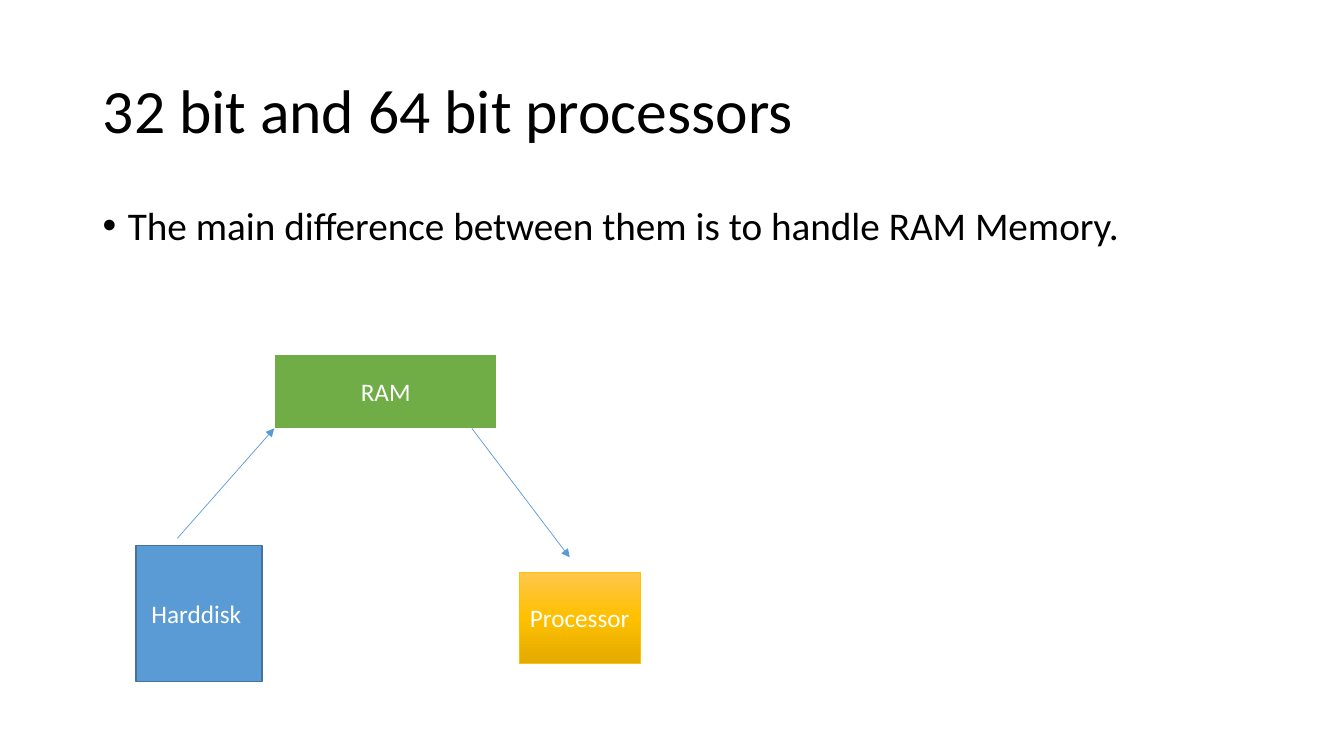
from dataclasses import dataclass

from lxml.etree import SubElement
from pptx import Presentation
from pptx.dml.color import RGBColor
from pptx.enum.shapes import MSO_CONNECTOR as Connector, MSO_SHAPE as Shape
from pptx.enum.text import MSO_ANCHOR as Anchor, MSO_AUTO_SIZE as AutoSize, PP_ALIGN as Align
from pptx.oxml.ns import qn
from pptx.util import Pt

PX = 9144  # EMU per px, 100 px to the inch


@dataclass(frozen=True)
class Theme:
    font: str = "Calibri"
    title_size: int = 44
    body_size: int = 28
    label_size: int = 18
    ink: str = "000000"
    paper: str = "FFFFFF"
    blue: str = "5B9BD5"
    blue_edge: str = "43739E"
    green: str = "70AD47"
    gold: str = "FFC000"
    gold_light: str = "FFC64B"
    gold_dark: str = "E3AB00"


THEME = Theme()


@dataclass(frozen=True)
class Part:
    label: str
    box: tuple[int, int, int, int]
    fills: tuple[str, ...]  # one colour, or evenly spaced stops from top to bottom
    edge: str
    edge_width: float
    preset: Shape = Shape.RECTANGLE


@dataclass(frozen=True)
class Arrow:
    start: tuple[int, int]
    end: tuple[int, int]


PARTS = (
    Part("Harddisk ", (135, 541, 125, 135), (THEME.blue,), THEME.blue_edge, 1,
         Shape.FLOWCHART_PROCESS),
    Part("RAM", (272, 351, 221, 75), (THEME.green,), THEME.paper, 1.5),
    Part("Processor", (515, 568, 120, 90),
         (THEME.gold_light, THEME.gold, THEME.gold_dark), THEME.gold, 0.5),
)
ARROWS = (Arrow((176, 534), (272, 425)), Arrow((468, 425), (565, 553)))


def emu(lengths: tuple[int, ...]) -> list[int]:
    return [length * PX for length in lengths]


def rgb(colour: str) -> RGBColor:
    return RGBColor.from_string(colour)


def write(frame, text: str, size: int, colour: str, align: Align, anchor: Anchor):
    """Put one formatted run in the frame and return its paragraph."""
    frame.word_wrap = True
    frame.auto_size = AutoSize.NONE
    frame.vertical_anchor = anchor
    paragraph = frame.paragraphs[0]
    paragraph.alignment = align
    run = paragraph.add_run()
    run.text = text
    run.font.name = THEME.font
    run.font.size = Pt(size)
    run.font.color.rgb = rgb(colour)
    return paragraph


def paint(fill, colours: tuple[str, ...]) -> None:
    if len(colours) == 1:
        fill.solid()
        fill.fore_color.rgb = rgb(colours[0])
        return
    fill.gradient()
    fill.gradient_angle = 270
    stops = fill.gradient_stops[0]._gs.getparent()
    for stop in list(stops):
        stops.remove(stop)
    for index, colour in enumerate(colours):
        position = 100000 * index // (len(colours) - 1)
        stop = SubElement(stops, qn("a:gs"), pos=str(position))
        SubElement(stop, qn("a:srgbClr"), val=colour)


def add_title(slide, text: str) -> None:
    title = slide.shapes.title
    title.left, title.top, title.width, title.height = emu((92, 40, 1150, 145))
    heading = write(title.text_frame, text, THEME.title_size, THEME.ink,
                    Align.LEFT, Anchor.MIDDLE)
    heading.line_spacing = 0.9


def add_bullet(slide, text: str) -> None:
    body = slide.shapes.add_textbox(*emu((92, 200, 1150, 476)))
    point = write(body.text_frame, text, THEME.body_size, THEME.ink,
                  Align.LEFT, Anchor.TOP)
    point.line_spacing = 0.9
    point.space_before = Pt(10)
    properties = point._p.get_or_add_pPr()
    properties.set("marL", str(25 * PX))
    properties.set("indent", str(-25 * PX))
    SubElement(properties, qn("a:buFont"), typeface="Arial")
    SubElement(properties, qn("a:buChar"), char="•")


def add_part(slide, part: Part) -> None:
    block = slide.shapes.add_shape(part.preset, *emu(part.box))
    block.shadow.inherit = False
    paint(block.fill, part.fills)
    block.line.color.rgb = rgb(part.edge)
    block.line.width = Pt(part.edge_width)
    write(block.text_frame, part.label, THEME.label_size, THEME.paper,
          Align.CENTER, Anchor.MIDDLE)


def add_arrow(slide, arrow: Arrow) -> None:
    link = slide.shapes.add_connector(Connector.STRAIGHT, *emu(arrow.start + arrow.end))
    link.line.color.rgb = rgb(THEME.blue)
    link.line.width = Pt(0.5)
    SubElement(link.line._get_or_add_ln(), qn("a:tailEnd"), type="triangle")
    SubElement(link._element.spPr, qn("a:effectLst"))


def main() -> None:
    deck = Presentation()
    deck.slide_width, deck.slide_height = emu((1333, 750))
    slide = deck.slides.add_slide(deck.slide_layouts.get_by_name("Title Only"))

    # Heading and statement
    add_title(slide, "32 bit and 64 bit processors")
    add_bullet(slide, "The main difference between them is to handle RAM Memory.")

    # Data path from disk through memory to processor
    for part in PARTS:
        add_part(slide, part)
    for arrow in ARROWS:
        add_arrow(slide, arrow)

    deck.save("out.pptx")


if __name__ == "__main__":
    main()
